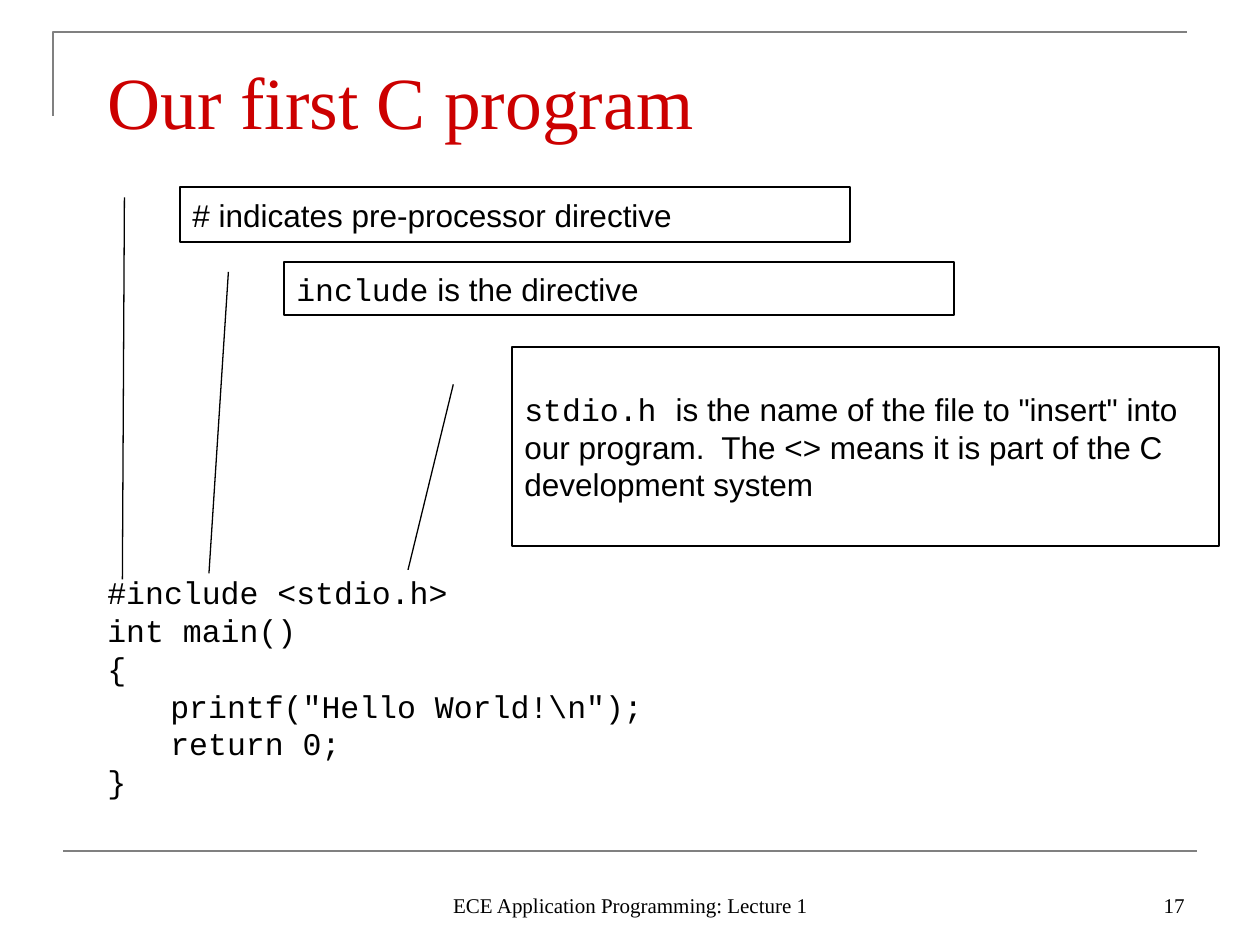
from lxml.etree import SubElement
from pptx import Presentation
from pptx.dml.color import RGBColor
from pptx.enum.shapes import MSO_CONNECTOR, MSO_SHAPE
from pptx.enum.text import MSO_ANCHOR, MSO_AUTO_SIZE, PP_ALIGN
from pptx.oxml.ns import qn
from pptx.util import Emu, Pt

SCALE = 914400 / 126
COLORS = {"title": "CC0000", "text": "000000", "rule": "808080"}
SERIF, SANS, MONO = "Times New Roman", "Arial", "Courier New"


def px(*lengths):
    return [Emu(round(length * SCALE)) for length in lengths]


def write(shape, runs, size, anchor, align=PP_ALIGN.LEFT, color="text"):
    """Fill a shape with one paragraph of (text, font name) runs."""
    frame = shape.text_frame
    frame.word_wrap = True
    frame.auto_size = MSO_AUTO_SIZE.NONE
    frame.vertical_anchor = anchor
    paragraph = frame.paragraphs[0]
    paragraph.text = runs[0][0]
    for text, _ in runs[1:]:
        paragraph.add_run().text = text
    paragraph.alignment = align
    fonts = [name for _, name in runs]
    for index, run in enumerate(paragraph.runs):
        run.font.name = fonts[min(index, len(fonts) - 1)]
        run.font.size = Pt(size)
        run.font.color.rgb = RGBColor.from_string(COLORS[color])


presentation = Presentation()
presentation.slide_width, presentation.slide_height = px(1260, 945)
slide = presentation.slides.add_slide(presentation.slide_layouts[5])
shapes = slide.shapes

# Corner bracket and bottom rule
builder = shapes.build_freeform(53, 116, scale=SCALE)
builder.add_line_segments([(53, 32), (1187, 32)], close=False)
bracket = builder.convert_to_shape()
bracket.shadow.inherit = False
bracket.fill.background()
rule = shapes.add_connector(MSO_CONNECTOR.STRAIGHT, *px(63, 851, 1197, 851))
SubElement(rule._element.spPr, qn("a:effectLst"))
for shape in (bracket, rule):
    shape.line.color.rgb = RGBColor.from_string(COLORS["rule"])
    shape.line.width = Pt(1.5)

# Title
title = shapes.title
title.left, title.top, title.width, title.height = px(95, 42, 1071, 116)
write(title, [("Our first C program", SERIF)], 42, MSO_ANCHOR.MIDDLE, color="title")

# Program listing
code = """#include <stdio.h>
int main()
{
\tprintf("Hello World!\\n");
\treturn 0;
}"""
listing = shapes.add_textbox(*px(95, 567, 1081, 239))
write(listing, [(code, MONO)], 18, MSO_ANCHOR.TOP)

# Callouts: box, end of the leader line (y, x as shares of the box), runs
callouts = [
    ((180, 187, 670, 55), (7.13, -0.086),
     [("# indicates pre-processor directive", SANS)]),
    ((284, 262, 670, 53), (5.88, -0.112),
     [("include", MONO), (" is the directive", SANS)]),
    ((512, 347, 707, 199), (1.12, -0.147),
     [("stdio.h ", MONO),
      ('is the name of the file to "insert" into our program.  '
       "The <> means it is part of the C development system", SANS)]),
]
for box, leader_end, runs in callouts:
    callout = shapes.add_shape(MSO_SHAPE.LINE_CALLOUT_1, *px(*box))
    for index, value in enumerate((0.188, -0.083, *leader_end)):
        callout.adjustments[index] = value
    callout.shadow.inherit = False
    callout.fill.background()
    callout.line.color.rgb = RGBColor.from_string(COLORS["text"])
    callout.line.width = Pt(0.75)
    write(callout, runs, 18, MSO_ANCHOR.MIDDLE)

# Footer and slide number
footers = [
    (431, 399, "ECE Application Programming: Lecture 1", PP_ALIGN.CENTER),
    (903, 294, "17", PP_ALIGN.RIGHT),
]
for left, width, text, align in footers:
    footer = shapes.add_textbox(*px(left, 861, width, 63))
    write(footer, [(text, SERIF)], 12, MSO_ANCHOR.BOTTOM, align)

presentation.save("out.pptx")
